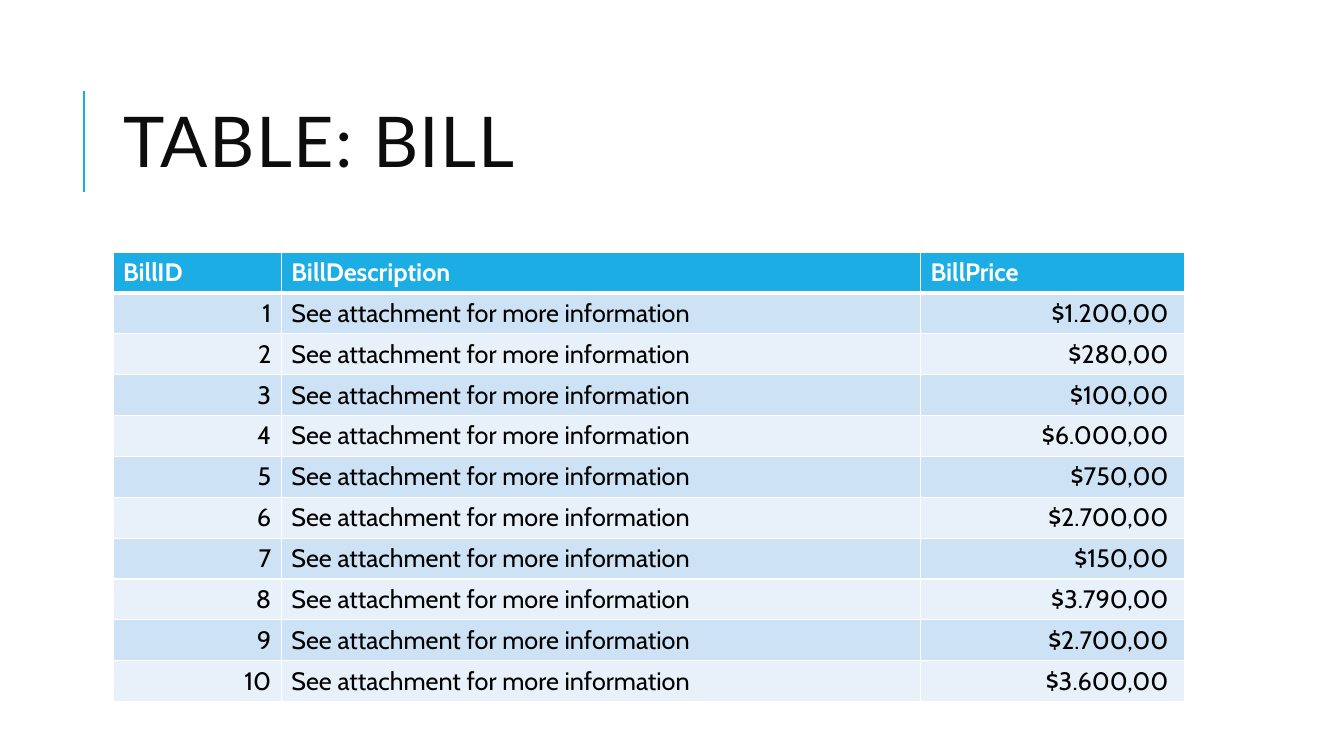
"""Build the slide with the bill table."""
from lxml import etree
from pptx import Presentation
from pptx.dml.color import RGBColor
from pptx.enum.shapes import MSO_CONNECTOR
from pptx.enum.text import MSO_ANCHOR, MSO_AUTO_SIZE, PP_ALIGN
from pptx.oxml.ns import qn
from pptx.util import Inches, Pt

LEFT, RIGHT = PP_ALIGN.LEFT, PP_ALIGN.RIGHT
MIDDLE = MSO_ANCHOR.MIDDLE
FIXED = MSO_AUTO_SIZE.NONE
STRAIGHT = MSO_CONNECTOR.STRAIGHT

HUES = {"accent": "1CADE4", "title": "0D0D0D", "text": "000000",
        "white": "FFFFFF", "odd": "CDE3F5", "even": "E8F1FA"}
EDGE, WIDE = Inches(1.12), Inches(10.63)
COLS = [1.67, 6.34, 2.62]
HIGH = Inches(0.4)
HEADS = ["BillID", "BillDescription", "BillPrice"]
NOTE = "See attachment for more information"
COSTS = ["$1.200,00", "$280,00", "$100,00", "$6.000,00", "$750,00",
         "$2.700,00", "$150,00", "$3.790,00", "$2.700,00", "$3.600,00"]


def write(frame, text, font="Cabin", size=18, hue="text", bold=False, align=LEFT):
    par = frame.paragraphs[0]
    par.alignment = align
    run = par.add_run()
    run.text = text
    run.font.name = font
    run.font.size = Pt(size)
    run.font.bold = bold
    run.font.color.rgb = RGBColor.from_string(HUES[hue])
    return par, run


def border(cell, side, width):
    line = etree.SubElement(cell._tc.get_or_add_tcPr(), qn(f"a:ln{side}"), w=str(Pt(width)))
    fill = etree.SubElement(line, qn("a:solidFill"))
    etree.SubElement(fill, qn("a:srgbClr"), val=HUES["white"])


deck = Presentation()
deck.slide_width, deck.slide_height = Inches(13.33), Inches(7.5)
slide = deck.slides.add_slide(deck.slide_layouts[5])

rule = slide.shapes.add_connector(STRAIGHT, Inches(0.83), Inches(1.9), Inches(0.83), Inches(0.9))
rule.line.color.rgb = RGBColor.from_string(HUES["accent"])
rule.line.width = Pt(1.5)
etree.SubElement(rule._element.spPr, qn("a:effectLst"))

title = slide.shapes.title
title.left, title.top, title.width, title.height = EDGE, Inches(0.64), WIDE, Inches(1.64)
frame = title.text_frame
frame.auto_size = FIXED
frame.word_wrap = True
frame.vertical_anchor = MIDDLE
par, run = write(frame, "TABLE: BILL", font="Lato", size=50, hue="title")
par.line_spacing = 0.8
run.font._element.set("spc", "100")

rows = [HEADS] + [[str(num), NOTE, cost] for num, cost in enumerate(COSTS, 1)]
table = slide.shapes.add_table(len(rows), len(COLS), EDGE, Inches(2.5),
                               WIDE, HIGH * len(rows)).table
for col, width in zip(table.columns, COLS):
    col.width = Inches(width)

for r, row in enumerate(rows):
    table.rows[r].height = HIGH
    head = r == 0
    fill = "accent" if head else "odd" if r % 2 else "even"
    for c, text in enumerate(row):
        cell = table.cell(r, c)
        cell.vertical_anchor = MIDDLE
        cell.margin_right = Inches(0.16 if c == 2 else 0.1)
        for side in "LRTB":
            thick = head and side == "B" or r == 1 and side == "T"
            border(cell, side, 3 if thick else 1)
        cell.fill.solid()
        cell.fill.fore_color.rgb = RGBColor.from_string(HUES[fill])
        write(cell.text_frame, text, bold=head, hue="white" if head else "text",
              align=LEFT if head or c == 1 else RIGHT)

deck.save("out.pptx")
